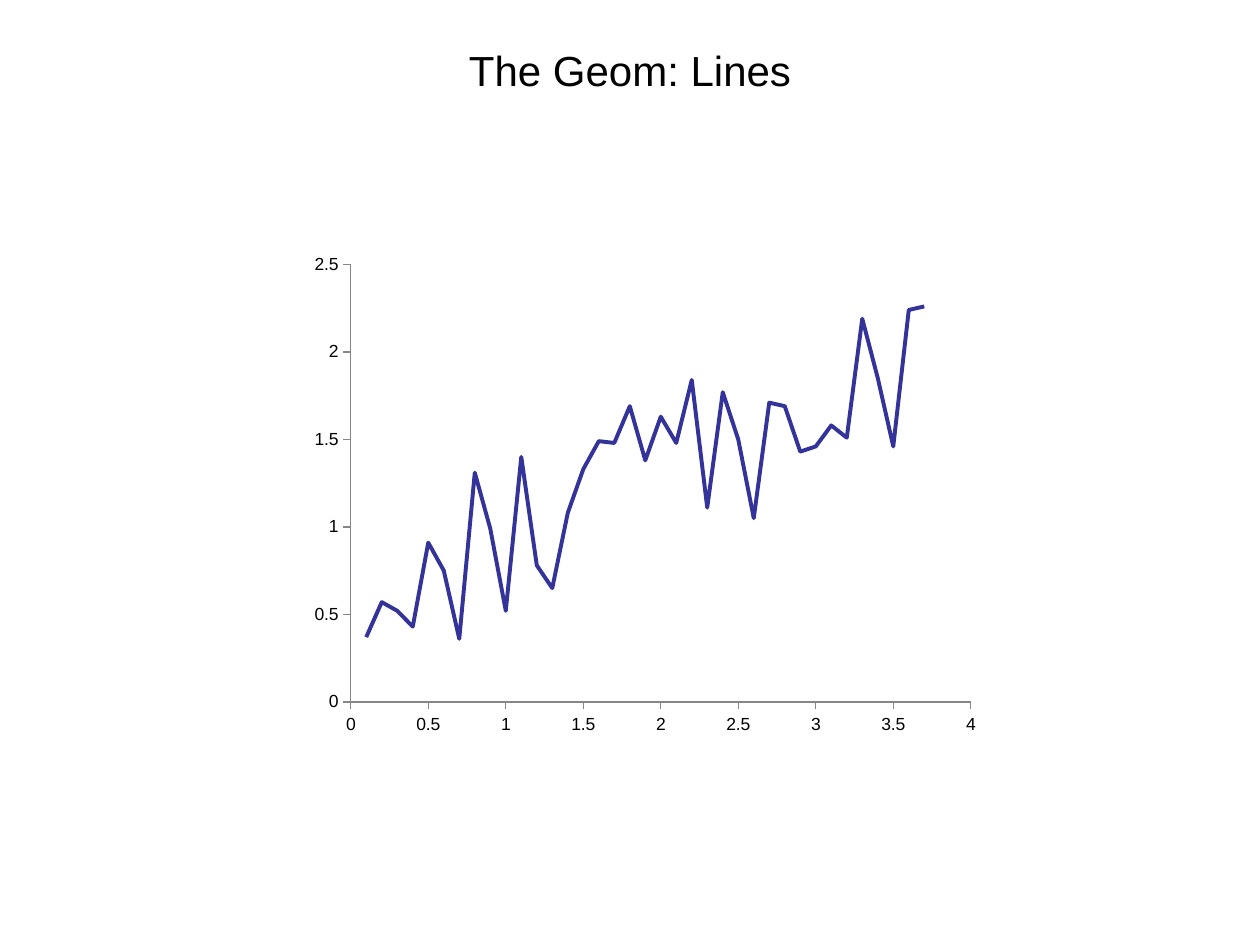
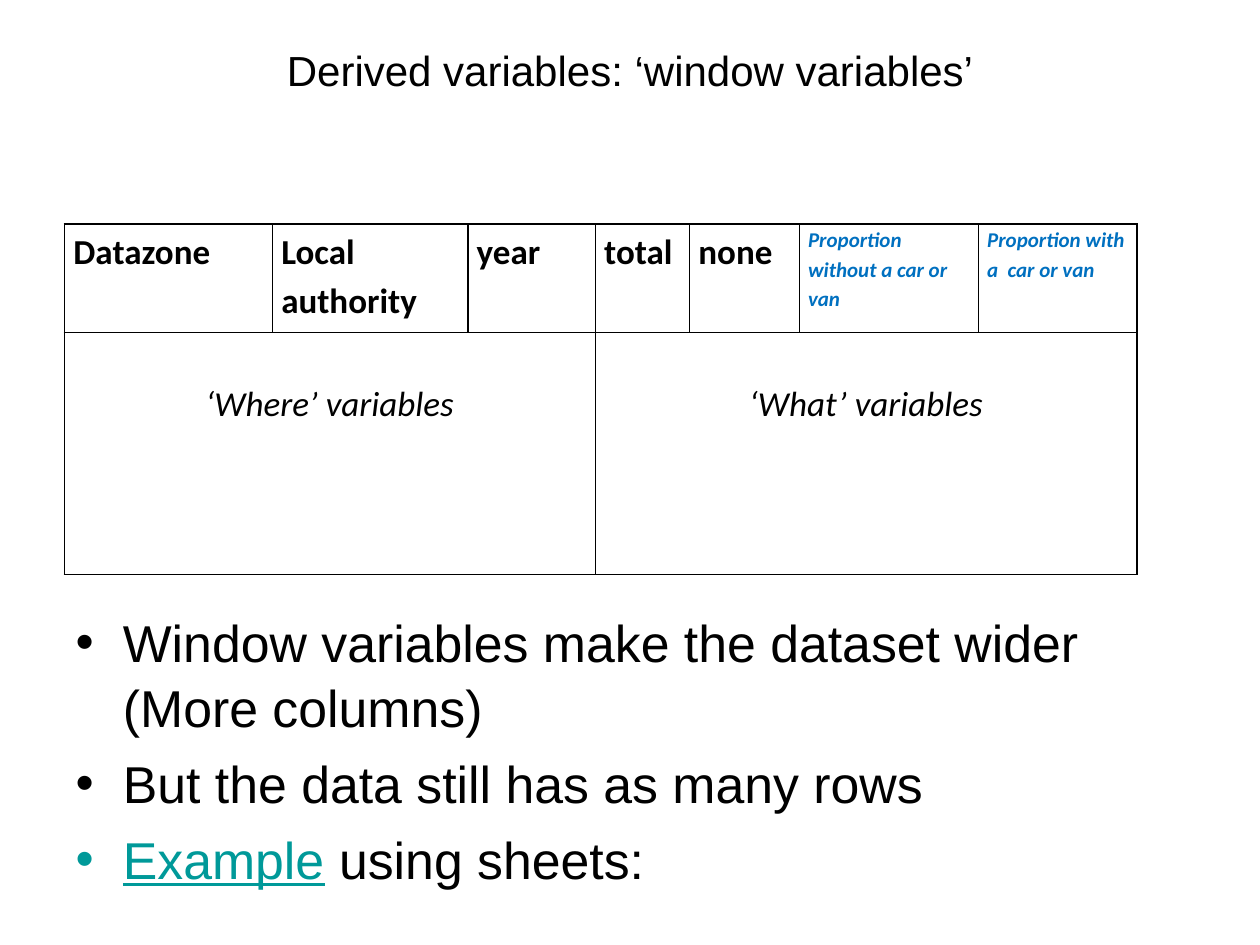
from pptx import Presentation
from pptx.chart.data import XyChartData
from pptx.dml.color import RGBColor
from pptx.enum.chart import XL_CHART_TYPE, XL_MARKER_STYLE, XL_TICK_MARK
from pptx.enum.text import MSO_ANCHOR, MSO_AUTO_SIZE, PP_ALIGN
from pptx.oxml import parse_xml
from pptx.oxml.ns import nsdecls, qn
from pptx.util import Cm, Pt

BLACK = RGBColor(0x00, 0x00, 0x00)
NAVY = RGBColor(0x33, 0x33, 0x99)
AXIS_GREY = RGBColor(0x86, 0x86, 0x86)
TEAL = RGBColor(0x00, 0x99, 0x99)
BLUE = RGBColor(0x00, 0x70, 0xC0)
HEADING_FONT = "Arial"
TABLE_FONT = "Calibri"

prs = Presentation()
prs.slide_width, prs.slide_height = Cm(25.4), Cm(19.05)


def add_titled_slide(layout_index, heading):
    slide = prs.slides.add_slide(prs.slide_layouts[layout_index])
    title = slide.shapes.title
    title.left, title.top, title.width, title.height = Cm(1.27), Cm(0.76), Cm(22.86), Cm(3.18)
    title.text_frame.text = heading
    title.text_frame.vertical_anchor = MSO_ANCHOR.TOP
    title.text_frame.auto_size = MSO_AUTO_SIZE.NONE
    paragraph = title.text_frame.paragraphs[0]
    paragraph.alignment = PP_ALIGN.CENTER
    format_run(paragraph.runs[0], HEADING_FONT, 24, BLACK)
    return slide


def format_run(run, font_name, size, color, bold=False, italic=False):
    run.font.name = font_name
    run.font.size = Pt(size)
    run.font.color.rgb = color
    run.font.bold = bold
    run.font.italic = italic


# Slide 1: line geom
lines_slide = add_titled_slide(5, "The Geom: Lines")

heights = [0.37, 0.57, 0.52, 0.43, 0.91, 0.75, 0.36, 1.31, 0.99, 0.52,
           1.4, 0.78, 0.65, 1.08, 1.33, 1.49, 1.48, 1.69, 1.38, 1.63,
           1.48, 1.84, 1.11, 1.77, 1.5, 1.05, 1.71, 1.69, 1.43, 1.46,
           1.58, 1.51, 2.19, 1.85, 1.46, 2.24, 2.26]
line_data = XyChartData()
points = line_data.add_series("Series 1")
for step, height in enumerate(heights, start=1):
    points.add_data_point(step / 10, height)

line_chart = lines_slide.shapes.add_chart(
    XL_CHART_TYPE.XY_SCATTER_LINES_NO_MARKERS,
    Cm(6.1), Cm(4.93), Cm(13.89), Cm(10.08), line_data).chart
line_chart.has_legend = False
line_chart.has_title = False
line_chart.font.name = HEADING_FONT
line_chart.font.size = Pt(10)
line_chart.font.color.rgb = BLACK

geom_line = line_chart.plots[0].series[0]
geom_line.smooth = False
geom_line.marker.style = XL_MARKER_STYLE.NONE
geom_line.format.line.color.rgb = NAVY
geom_line.format.line.width = Pt(2.25)

# Axes
for axis, maximum in ((line_chart.category_axis, 4), (line_chart.value_axis, 2.5)):
    axis.minimum_scale, axis.maximum_scale, axis.major_unit = 0, maximum, 0.5
    axis.has_major_gridlines = False
    axis.has_minor_gridlines = False
    axis.major_tick_mark = XL_TICK_MARK.OUTSIDE
    axis.minor_tick_mark = XL_TICK_MARK.NONE
    axis.tick_labels.number_format = "General"
    axis.tick_labels.number_format_is_linked = False
    axis.format.line.color.rgb = AXIS_GREY
    axis.format.line.width = Pt(0.75)

# Fixed plot area inside the chart frame
plot_area = line_chart._chartSpace.chart.plotArea
for automatic_layout in plot_area.findall(qn("c:layout")):
    plot_area.remove(automatic_layout)
plot_area.insert(0, parse_xml(
    f'<c:layout {nsdecls("c")}><c:manualLayout><c:layoutTarget val="inner"/>'
    '<c:xMode val="edge"/><c:yMode val="edge"/><c:x val="0.07"/><c:y val="0.04"/>'
    '<c:w val="0.9"/><c:h val="0.875"/></c:manualLayout></c:layout>'))

# Slide 2: window variables
window_slide = add_titled_slide(1, "Derived variables: ‘window variables’")

# Bulleted remarks
remarks = window_slide.placeholders[1]
remarks.left, remarks.top, remarks.width, remarks.height = Cm(1.27), Cm(12.12), Cm(22.86), Cm(4.9)
remarks.text_frame.auto_size = MSO_AUTO_SIZE.NONE
remarks.text_frame.vertical_anchor = MSO_ANCHOR.TOP
remarks.text_frame.text = ("Window variables make the dataset wider (More columns)\n"
                           "But the data still has as many rows\n"
                           "Example")
remarks.text_frame.paragraphs[-1].add_run().text = " using sheets:"
for index, paragraph in enumerate(remarks.text_frame.paragraphs):
    paragraph.line_spacing = 1.05
    paragraph.space_before = Pt(6 if index else 0)
    for run in paragraph.runs:
        format_run(run, HEADING_FONT, 29.6, BLACK)
example = remarks.text_frame.paragraphs[-1].runs[0]
example.font.color.rgb = TEAL
example.font.underline = True

# Table of variables
column_widths = [4.19, 3.94, 2.57, 1.9, 2.21, 3.61, 3.2]
row_heights = [2.18, 4.88]
variables = window_slide.shapes.add_table(
    2, 7, Cm(1.3), Cm(4.52), Cm(sum(column_widths)), Cm(sum(row_heights))).table
variables.first_row = False
variables.horz_banding = False
for column, width in zip(variables.columns, column_widths):
    column.width = Cm(width)
for row, height in zip(variables.rows, row_heights):
    row.height = Cm(height)

headers = ["Datazone", "Local authority", "year", "total", "none",
           "Proportion without a car or van", "Proportion with a  car or van"]
for column, header in enumerate(headers):
    cell = variables.cell(0, column)
    cell.text_frame.text = header
    derived = column >= 5
    format_run(cell.text_frame.paragraphs[0].runs[0], TABLE_FONT,
               12 if derived else 20, BLUE if derived else BLACK,
               bold=True, italic=derived)

for first, last, group in ((0, 2, "‘Where’ variables"), (3, 6, "‘What’ variables")):
    cell = variables.cell(1, first)
    cell.merge(variables.cell(1, last))
    cell.text_frame.text = group
    paragraph = cell.text_frame.paragraphs[0]
    paragraph.alignment = PP_ALIGN.CENTER
    format_run(paragraph.runs[0], TABLE_FONT, 20, BLACK, italic=True)

# Cell margins, borders and fills
for row in range(2):
    for column in range(7):
        cell = variables.cell(row, column)
        cell.margin_left = cell.margin_right = Cm(0.18)
        cell.margin_top = Cm(0.9 if row else 0)
        cell.margin_bottom = 0
        cell.vertical_anchor = MSO_ANCHOR.TOP
        cell.text_frame.paragraphs[0].line_spacing = 1.15
        properties = cell._tc.get_or_add_tcPr()
        for side in "TB" if cell.is_spanned else "LRTB":
            boundary = column + (side == "R")
            thin = row == 0 and side in "LR" and boundary in (5, 6)
            properties.append(parse_xml(
                f'<a:ln{side} {nsdecls("a")} w="{Pt(0.25 if thin else 1)}">'
                f'<a:solidFill><a:srgbClr val="{BLACK}"/></a:solidFill></a:ln{side}>'))
        cell.fill.background()

prs.save("out.pptx")
